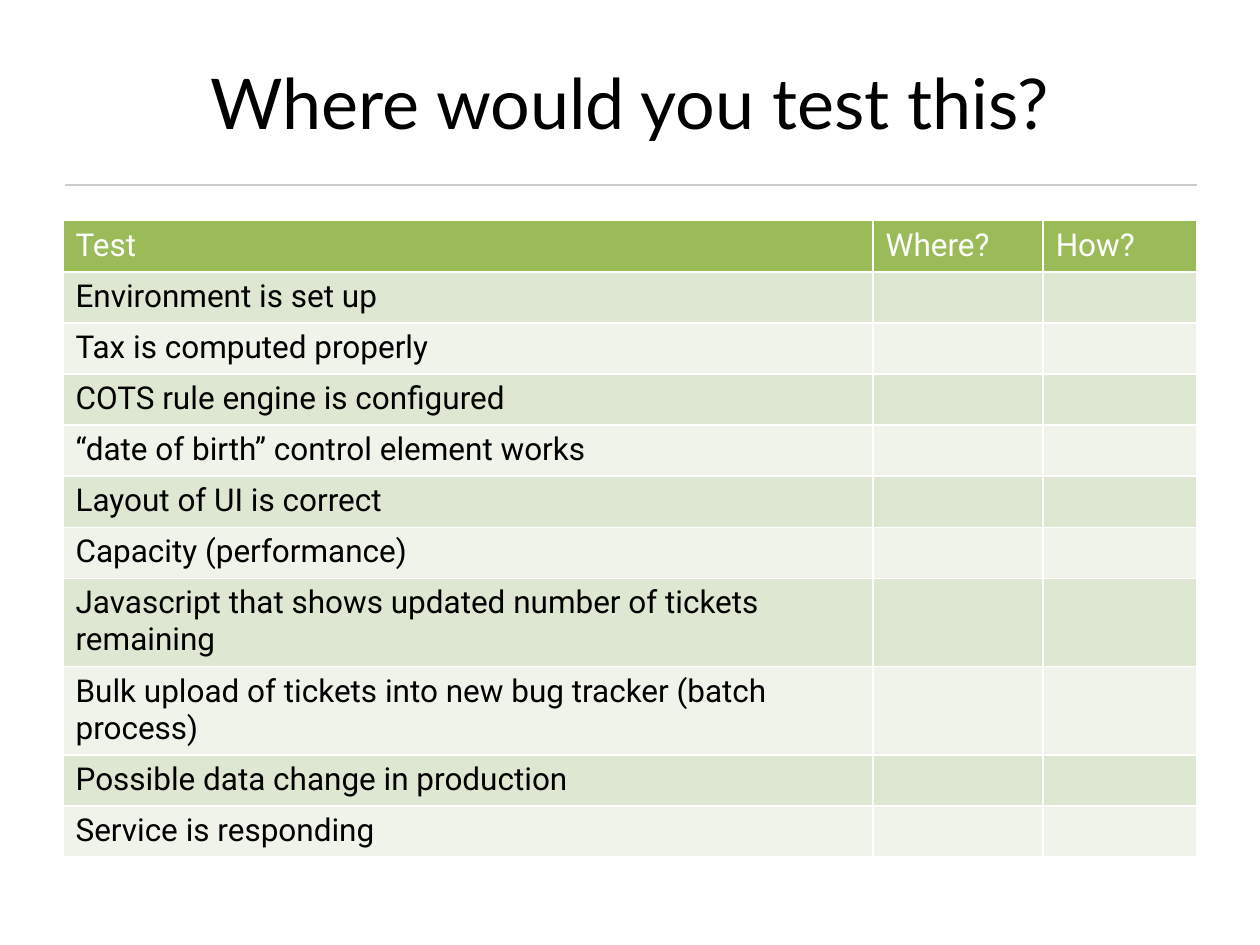
from lxml.etree import SubElement
from pptx import Presentation
from pptx.dml.color import RGBColor
from pptx.enum.shapes import MSO_CONNECTOR as Connector
from pptx.enum.text import MSO_ANCHOR as Anchor, PP_ALIGN as Align
from pptx.oxml.ns import qn
from pptx.util import Cm, Pt

COLOURS = {
    "text": "000000",
    "white": "FFFFFF",
    "rule": "CCCCCC",
    "header": "9BBB59",
    "odd": "DEE7D1",
    "even": "EFF3EA",
}
HEADINGS = ["Test", "Where?", "How?"]
TESTS = [
    "Environment is set up",
    "Tax is computed properly",
    "COTS rule engine is configured",
    "“date of birth” control element works",
    "Layout of UI is correct",
    "Capacity (performance)",
    "Javascript that shows updated number of tickets remaining",
    "Bulk upload of tickets into new bug tracker (batch process)",
    "Possible data change in production",
    "Service is responding",
]


class SlideBuilder:
    title_font, body_font = "Lato", "Roboto"
    title_size, body_size = Pt(40), Pt(18)
    line_width = Pt(1)

    def __init__(self, slide):
        self.slide = slide

    def colour(self, name):
        return RGBColor.from_string(COLOURS[name])

    def span(self, para, text, font, size, colour):
        span = para.add_run()
        span.text = text
        span.font.name, span.font.size = font, size
        span.font.color.rgb = self.colour(colour)

    def title(self, text, left, top, width, height):
        box = self.slide.shapes.add_textbox(Cm(left), Cm(top), Cm(width), Cm(height))
        frame = box.text_frame
        frame.word_wrap = True
        frame.vertical_anchor = Anchor.MIDDLE
        para = frame.paragraphs[0]
        para.alignment = Align.CENTER
        self.span(para, text, self.title_font, self.title_size, "text")

    def rule(self, left, right, top):
        line = self.slide.shapes.add_connector(
            Connector.STRAIGHT, Cm(left), Cm(top), Cm(right), Cm(top))
        line.line.color.rgb = self.colour("rule")
        line.line.width = self.line_width
        SubElement(line._element.spPr, qn("a:effectLst"))

    def borders(self, cell):
        properties = cell._tc.get_or_add_tcPr()
        for side in ("lnL", "lnR", "lnT", "lnB"):
            edge = SubElement(properties, qn(f"a:{side}"), w=str(int(self.line_width)))
            fill = SubElement(edge, qn("a:solidFill"))
            SubElement(fill, qn("a:srgbClr"), val=COLOURS["white"])

    def cell(self, cell, text, fill, colour):
        self.borders(cell)
        cell.fill.solid()
        cell.fill.fore_color.rgb = self.colour(fill)
        if text:
            para = cell.text_frame.paragraphs[0]
            self.span(para, text, self.body_font, self.body_size, colour)

    def table(self, rows, left, top, widths, row_height):
        table = self.slide.shapes.add_table(
            len(rows), len(widths), Cm(left), Cm(top),
            Cm(sum(widths)), Cm(row_height * len(rows))).table
        for column, width in zip(table.columns, widths):
            column.width = Cm(width)
        for number, (row, texts) in enumerate(zip(table.rows, rows)):
            row.height = Cm(row_height)
            fill = "header" if number == 0 else "odd" if number % 2 else "even"
            colour = "text" if number else "white"
            for cell, text in zip(row.cells, texts):
                self.cell(cell, text, fill, colour)


def main():
    deck = Presentation()
    deck.slide_width, deck.slide_height = Cm(25.4), Cm(19.05)
    page = SlideBuilder(deck.slides.add_slide(deck.slide_layouts[6]))

    # Title and the rule below it
    page.title("Where would you test this?", 1.27, 0.76, 22.86, 2.57)
    page.rule(1.32, 24.13, 3.73)

    # Tests, with the answers left open
    rows = [HEADINGS] + [[test, "", ""] for test in TESTS]
    page.table(rows, 1.27, 4.45, [16.33, 3.43, 3.1], 1.03)

    deck.save("out.pptx")


if __name__ == "__main__":
    main()
